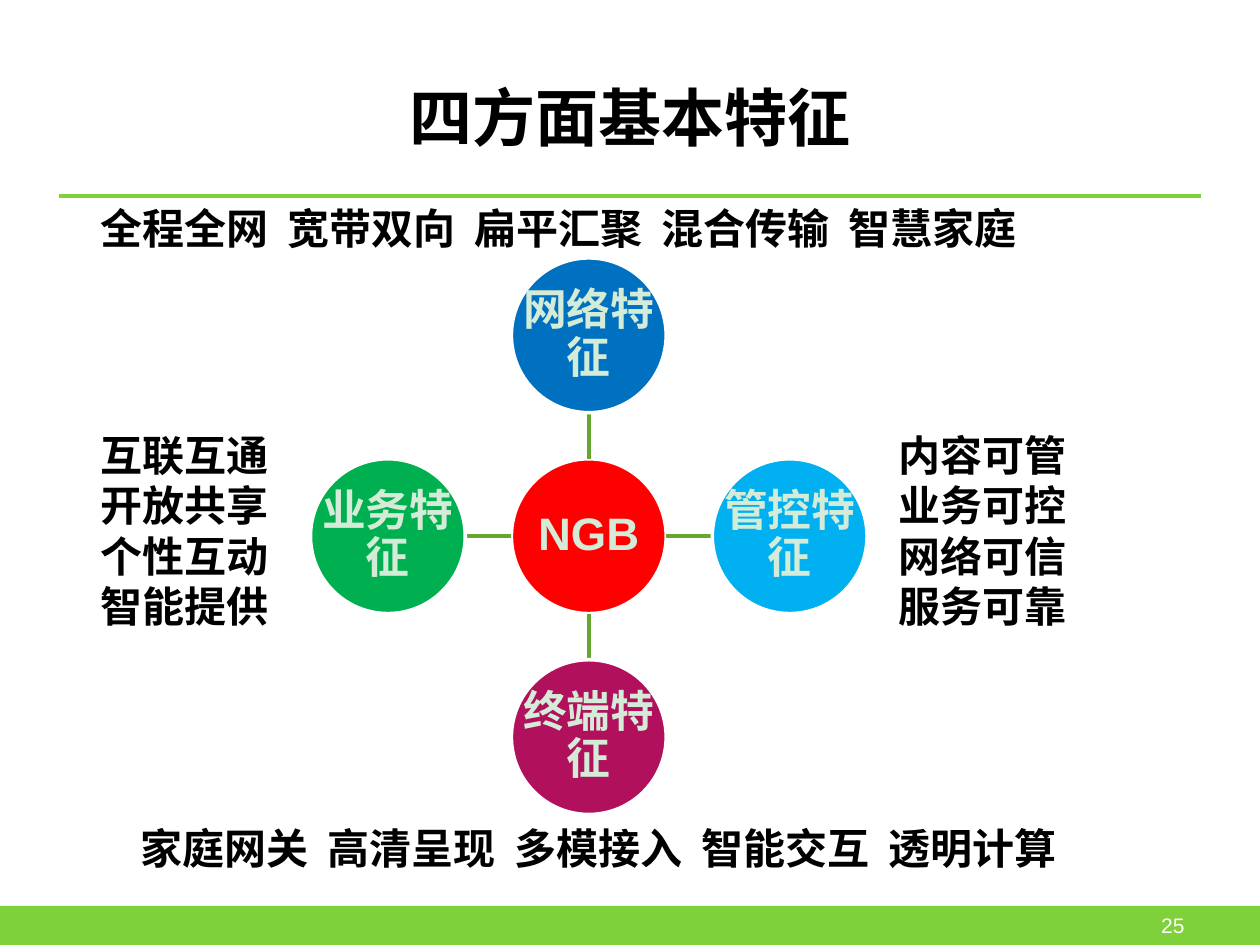
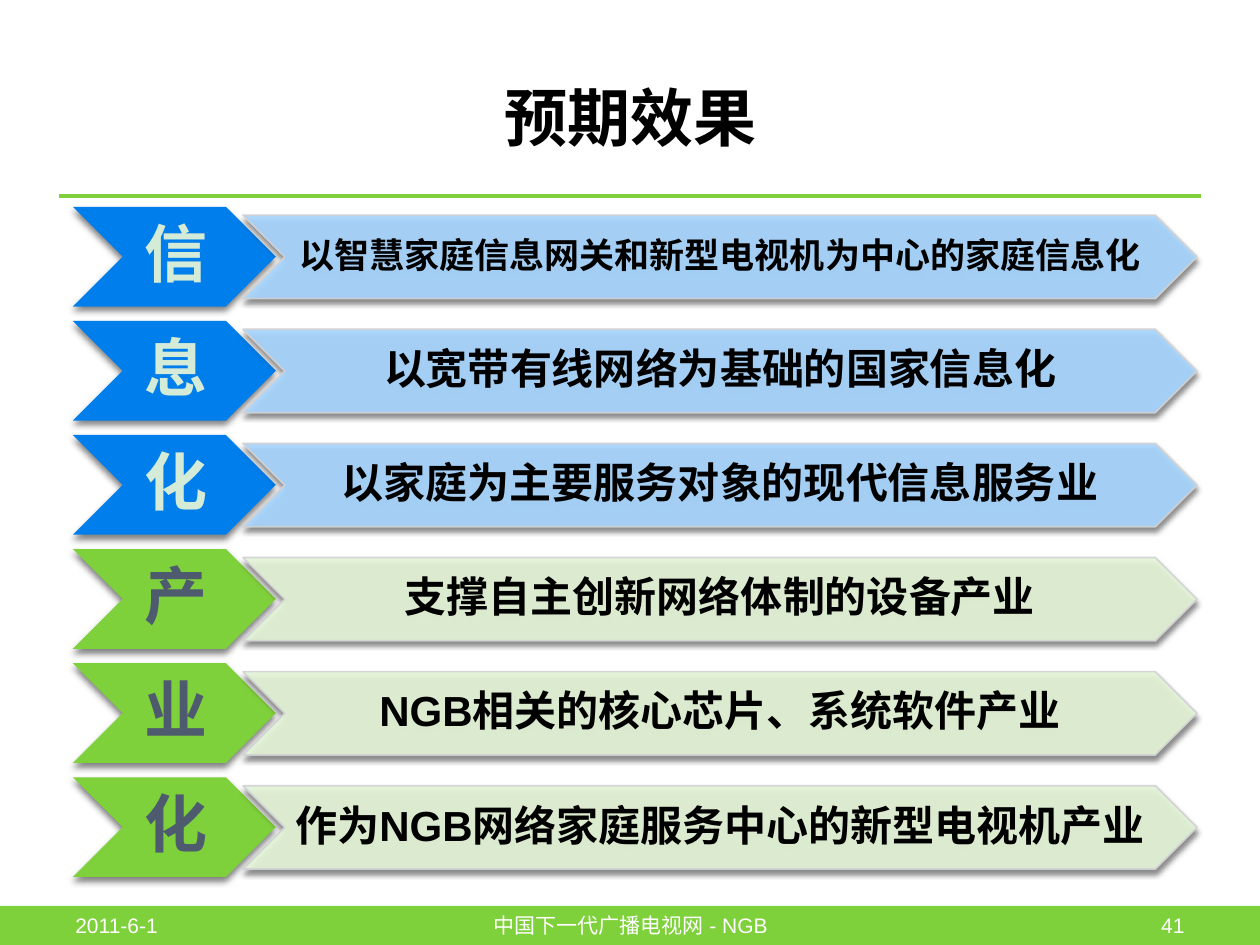
from dataclasses import dataclass

from lxml import etree
from pptx import Presentation
from pptx.dml.color import RGBColor
from pptx.enum.shapes import MSO_CONNECTOR, MSO_SHAPE
from pptx.enum.text import MSO_ANCHOR, PP_ALIGN
from pptx.oxml.ns import qn
from pptx.util import Cm, Pt

LEFT, CENTER, RIGHT = PP_ALIGN.LEFT, PP_ALIGN.CENTER, PP_ALIGN.RIGHT
TOP, MIDDLE = MSO_ANCHOR.TOP, MSO_ANCHOR.MIDDLE
RECTANGLE, OVAL, CHEVRON = MSO_SHAPE.RECTANGLE, MSO_SHAPE.OVAL, MSO_SHAPE.CHEVRON
STRAIGHT = MSO_CONNECTOR.STRAIGHT


@dataclass(frozen=True)
class Theme:
    font: str = "Arial"
    black: str = "000000"
    white: str = "FFFFFF"
    mint: str = "D3EBD7"
    slate: str = "4E5B6F"
    green: str = "7FD13B"
    spoke: str = "66A72F"
    blue: str = "007EEB"
    pale_blue: str = "A7D6FF"
    pale_green: str = "E5F6D8"
    edge: str = "D0D2D5"
    title_size: int = 36
    hub_size: int = 26
    circle_size: int = 25
    body_size: int = 24
    small_size: int = 20
    footer_size: int = 12


THEME = Theme()

KEYWORD_PITCH = 3.77
CIRCLE, REACH = 3.12, 4.05
HUB_X, HUB_Y = 11.87, 10.81
ROW_TOP, ROW_PITCH = 4.17, 2.3


def color(code):
    return RGBColor.from_string(code)


def add_span(para, text, size, code, bold=True):
    span = para.add_run()
    span.text = text
    span.font.size = Pt(size)
    span.font.bold = bold
    span.font.color.rgb = color(code)
    span.font.name = THEME.font
    properties = span._r.get_or_add_rPr()
    properties.set("lang", "zh-CN")
    etree.SubElement(properties, qn("a:ea"), typeface=THEME.font)


def add_text_box(page, place, lines, size=THEME.body_size, code=THEME.black,
                 align=LEFT, anchor=TOP, bold=True):
    box = page.shapes.add_textbox(*map(Cm, place))
    frame = box.text_frame
    frame.word_wrap = True
    frame.vertical_anchor = anchor
    for index, line in enumerate(lines):
        para = frame.paragraphs[0] if index == 0 else frame.add_paragraph()
        para.alignment = align
        add_span(para, line, size, code, bold)
    return box


def add_keyword_row(page, place, words):
    """Put the words on one line, spread by equal tab stops."""
    box = add_text_box(page, place, ["\t".join(words)])
    properties = box.text_frame.paragraphs[0]._p.get_or_add_pPr()
    stops = etree.SubElement(properties, qn("a:tabLst"))
    for index in range(1, len(words)):
        etree.SubElement(stops, qn("a:tab"), pos=str(Cm(KEYWORD_PITCH * index)), algn="l")


def add_filled_shape(page, kind, place, fill, edge=None, width=1):
    shape = page.shapes.add_shape(kind, *map(Cm, place))
    shape.shadow.inherit = False
    shape.fill.solid()
    shape.fill.fore_color.rgb = color(fill)
    if edge:
        shape.line.color.rgb = color(edge)
        shape.line.width = Pt(width)
    else:
        shape.line.fill.background()
    return shape


def write_centered(shape, lines, size, code, left_inset=0.05):
    """Write the lines unwrapped in the middle of the shape."""
    frame = shape.text_frame
    frame.word_wrap = False
    frame.vertical_anchor = MIDDLE
    frame.margin_left = Cm(left_inset)
    frame.margin_right = frame.margin_top = frame.margin_bottom = Cm(0.05)
    para = frame.paragraphs[0]
    para.alignment = CENTER
    para.line_spacing = 0.9
    for index, line in enumerate(lines):
        if index:
            para.add_line_break()
        add_span(para, line, size, code)


def add_line(page, start, end, code, width):
    line = page.shapes.add_connector(STRAIGHT, *map(Cm, (*start, *end)))
    line.line.color.rgb = color(code)
    line.line.width = Pt(width)
    etree.SubElement(line.element.spPr, qn("a:effectLst"))
    return line


def set_opacity(shape, percent):
    for paint in list(shape.element.spPr.iter(qn("a:srgbClr"))):
        etree.SubElement(paint, qn("a:alpha"), val=str(percent * 1000))


def add_shadow(shape, blur):
    effects = shape.element.spPr.find(qn("a:effectLst"))
    shadow = etree.SubElement(effects, qn("a:outerShdw"), blurRad=str(Pt(blur)),
                              dist=str(Pt(2.5)), dir="5400000", rotWithShape="0")
    paint = etree.SubElement(shadow, qn("a:srgbClr"), val=THEME.black)
    etree.SubElement(paint, qn("a:alpha"), val="50000")


def decorate_layout(page):
    """Build the shared band and rule, then move them to the page's layout."""
    band = add_filled_shape(page, RECTANGLE, (0, 18.26, 25.4, 0.79), THEME.green)
    rule = add_line(page, (1.19, 3.96), (24.21, 3.96), THEME.green, 2.25)
    tree = page.slide_layout.shapes.element
    for position, item in enumerate((band, rule), start=2):
        tree.insert(position, item.element)


def add_footer(page, left, width, text, align):
    add_text_box(page, (left, 18.14, width, 1.02), [text], THEME.footer_size,
                 THEME.white, align, MIDDLE, bold=False)


def add_page(deck, title, number):
    page = deck.slides.add_slide(deck.slide_layouts[5])
    heading = page.shapes.title
    heading.left, heading.top, heading.width, heading.height = map(Cm, (1.27, 0.76, 22.86, 3.18))
    heading.text_frame.vertical_anchor = MIDDLE
    para = heading.text_frame.paragraphs[0]
    para.alignment = CENTER
    add_span(para, title, THEME.title_size, THEME.black)
    add_footer(page, 18.21, 5.92, number, RIGHT)
    return page


def add_circle(page, x, y, lines, fill, size):
    place = (x - CIRCLE / 2, y - CIRCLE / 2, CIRCLE, CIRCLE)
    circle = add_filled_shape(page, OVAL, place, fill, THEME.white, 2)
    write_centered(circle, lines, size, THEME.mint)


def add_feature_wheel(page):
    add_circle(page, HUB_X, HUB_Y, ["NGB"], "FF0000", THEME.hub_size)
    features = [
        (0, -1, "网络特", "0070C0"),
        (1, 0, "管控特", "00B0F0"),
        (0, 1, "终端特", "B0105C"),
        (-1, 0, "业务特", "00B050"),
    ]
    near, far = CIRCLE / 2, REACH - CIRCLE / 2
    for across, down, name, fill in features:
        add_line(page, (HUB_X + across * near, HUB_Y + down * near),
                 (HUB_X + across * far, HUB_Y + down * far), THEME.spoke, 2)
        add_circle(page, HUB_X + across * REACH, HUB_Y + down * REACH,
                   [name, "征"], fill, THEME.circle_size)


def add_goal_row(page, top, letter, goal, size, colors):
    label_fill, letter_color, banner_fill = colors
    label = add_filled_shape(page, CHEVRON, (1.47, top, 4.09, 2.01), label_fill)
    add_shadow(label, 4)
    write_centered(label, [letter], THEME.title_size, letter_color, left_inset=0.13)
    banner = add_filled_shape(page, CHEVRON, (4.9, top + 0.17, 19.23, 1.68),
                              banner_fill, THEME.edge)
    set_opacity(banner, 90)
    add_shadow(banner, 2.8)
    write_centered(banner, [goal], size, THEME.black)


def build_features(deck):
    page = add_page(deck, "四方面基本特征", "25")
    decorate_layout(page)
    add_feature_wheel(page)
    add_keyword_row(page, (1.78, 3.96, 22.02, 1.3),
                    ["全程全网", "宽带双向", "扁平汇聚", "混合传输", "智慧家庭"])
    add_text_box(page, (17.86, 8.53, 4.57, 4.37),
                 ["内容可管", "业务可控", "网络可信", "服务可靠"])
    add_keyword_row(page, (2.59, 16.46, 21.03, 1.3),
                    ["家庭网关", "高清呈现", "多模接入", "智能交互", "透明计算"])
    add_text_box(page, (1.78, 8.53, 4.37, 5.38),
                 ["互联互通", "开放共享", "个性互动", "智能提供"])


def build_goals(deck):
    page = add_page(deck, "预期效果", "41")
    informatics = (THEME.blue, THEME.mint, THEME.pale_blue)
    industry = (THEME.green, THEME.slate, THEME.pale_green)
    goals = [
        ("信", "以智慧家庭信息网关和新型电视机为中心的家庭信息化", THEME.small_size, informatics),
        ("息", "以宽带有线网络为基础的国家信息化", THEME.body_size, informatics),
        ("化", "以家庭为主要服务对象的现代信息服务业", THEME.body_size, informatics),
        ("产", "支撑自主创新网络体制的设备产业", THEME.body_size, industry),
        ("业", "NGB相关的核心芯片、系统软件产业", THEME.body_size, industry),
        ("化", "作为NGB网络家庭服务中心的新型电视机产业", THEME.body_size, industry),
    ]
    for index, goal in enumerate(goals):
        add_goal_row(page, ROW_TOP + index * ROW_PITCH, *goal)
    add_footer(page, 1.27, 5.92, "2011-6-1", LEFT)
    add_footer(page, 8.69, 8.05, "中国下一代广播电视网 - NGB", CENTER)


def main():
    deck = Presentation()
    deck.slide_width, deck.slide_height = Cm(25.4), Cm(19.05)
    build_features(deck)
    build_goals(deck)
    deck.save("out.pptx")


if __name__ == "__main__":
    main()
